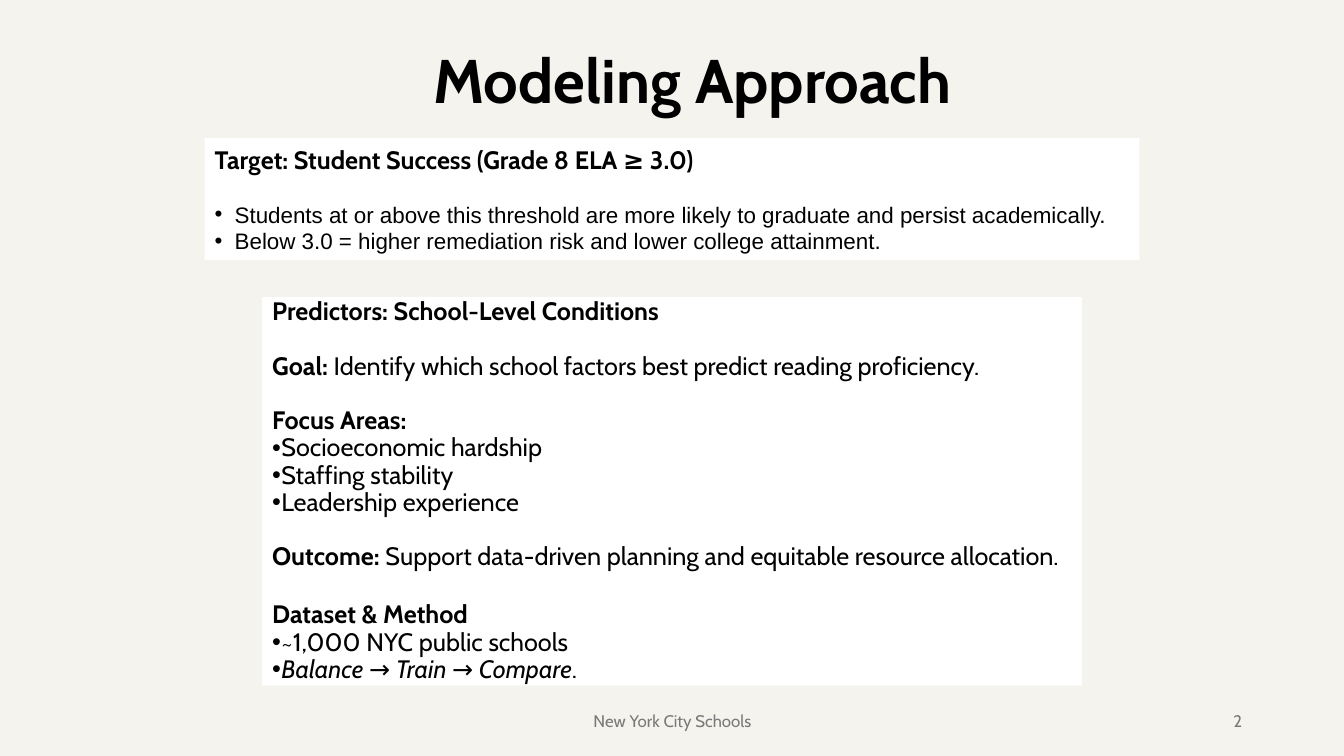
from dataclasses import dataclass

from lxml.etree import SubElement
from pptx import Presentation
from pptx.dml.color import RGBColor
from pptx.enum.text import MSO_ANCHOR, MSO_AUTO_SIZE, PP_ALIGN
from pptx.oxml.ns import qn
from pptx.util import Inches, Pt

BACKGROUND = RGBColor(0xF5, 0xF3, 0xEE)
WHITE = RGBColor(0xFF, 0xFF, 0xFF)
BLACK = RGBColor(0x00, 0x00, 0x00)
GRAY = RGBColor(0x79, 0x79, 0x79)


@dataclass(frozen=True)
class Piece:
    text: str
    bold: bool = False
    italic: bool = False


@dataclass(frozen=True)
class Line:
    pieces: tuple[Piece, ...]
    bullet_indent: float = 0
    space_before: float = 0
    size: float = 18
    font: str = "Cabin"
    color: RGBColor = BLACK
    alignment: PP_ALIGN = PP_ALIGN.LEFT


@dataclass(frozen=True)
class Box:
    left: float
    top: float
    width: float
    height: float


def heading(label: str, detail: str = "", space_before: float = 0) -> Line:
    pieces = (Piece(label, bold=True),) + ((Piece(detail),) if detail else ())
    return Line(pieces, space_before=space_before)


def factor(*pieces: Piece) -> Line:
    return Line(pieces, bullet_indent=0.09)


def threshold_note(text: str, space_before: float = 0) -> Line:
    return Line((Piece(text),), 0.2, space_before, 16, "Arial")


def footer(text: str, alignment: PP_ALIGN) -> tuple[Line, ...]:
    return (Line((Piece(text),), size=12, color=GRAY, alignment=alignment),)


TITLE = (Line((Piece("Modeling Approach", bold=True),), size=44,
              alignment=PP_ALIGN.CENTER),)
TARGET = (
    heading("Target: Student Success (Grade 8 ELA ≥ 3.0)"),
    threshold_note("Students at or above this threshold are more likely to "
                   "graduate and persist academically.", 19),
    threshold_note("Below 3.0 = higher remediation risk and lower college attainment."),
)
PREDICTORS = (
    heading("Predictors: School-Level Conditions"),
    heading("Goal:", " Identify which school factors best predict reading proficiency.", 19.5),
    heading("Focus Areas:", space_before=19.5),
    factor(Piece("Socioeconomic hardship")),
    factor(Piece("Staffing stability")),
    factor(Piece("Leadership experience")),
    heading("Outcome:", " Support data-driven planning and equitable resource allocation.", 19.5),
    heading("Dataset & Method", space_before=22),
    factor(Piece("~1,000 NYC public schools")),
    factor(Piece("Balance → Train → Compare", italic=True), Piece(".")),
)


def set_bullet(paragraph, indent: float) -> None:
    properties = paragraph._p.get_or_add_pPr()
    properties.set("marL", str(Inches(indent)))
    properties.set("indent", str(-Inches(indent)))
    if indent:
        SubElement(properties, qn("a:buFont")).set("typeface", "Arial")
        SubElement(properties, qn("a:buChar")).set("char", "•")
    else:
        SubElement(properties, qn("a:buNone"))


def fill_text(shape, box: Box, lines: tuple[Line, ...], line_spacing: float = 1,
              auto_size: MSO_AUTO_SIZE = MSO_AUTO_SIZE.NONE) -> None:
    shape.left, shape.top = Inches(box.left), Inches(box.top)
    shape.width, shape.height = Inches(box.width), Inches(box.height)
    frame = shape.text_frame
    frame.word_wrap = True
    frame.auto_size = auto_size
    frame.vertical_anchor = MSO_ANCHOR.MIDDLE
    for index, line in enumerate(lines):
        paragraph = frame.add_paragraph() if index else frame.paragraphs[0]
        set_bullet(paragraph, line.bullet_indent)
        paragraph.alignment = line.alignment
        paragraph.line_spacing = line_spacing
        paragraph.space_before = Pt(line.space_before)
        for piece in line.pieces:
            run = paragraph.add_run()
            run.text = piece.text
            run.font.name = line.font
            run.font.size = Pt(line.size)
            run.font.bold = piece.bold
            run.font.italic = piece.italic
            run.font.color.rgb = line.color


def add_text(slide, box: Box, lines: tuple[Line, ...],
             auto_size: MSO_AUTO_SIZE = MSO_AUTO_SIZE.NONE):
    shape = slide.shapes.add_textbox(0, 0, 0, 0)
    fill_text(shape, box, lines, auto_size=auto_size)
    return shape


def paint_white(shape) -> None:
    shape.fill.solid()
    shape.fill.fore_color.rgb = WHITE


def main() -> None:
    presentation = Presentation()
    presentation.slide_width = Inches(13.33)
    presentation.slide_height = Inches(7.5)
    slide = presentation.slides.add_slide(presentation.slide_layouts[1])
    slide.background.fill.solid()
    slide.background.fill.fore_color.rgb = BACKGROUND

    fill_text(slide.shapes.title, Box(1.12, 0.1, 11.5, 1.45), TITLE, 0.9)
    predictors = slide.placeholders[1]
    fill_text(predictors, Box(2.6, 2.9, 8.13, 3.95), PREDICTORS, 0.9,
              MSO_AUTO_SIZE.SHAPE_TO_FIT_TEXT)
    paint_white(predictors)
    target = add_text(slide, Box(2.03, 1.37, 9.27, 1.21), TARGET,
                      MSO_AUTO_SIZE.SHAPE_TO_FIT_TEXT)
    paint_white(target)

    add_text(slide, Box(4.42, 6.95, 4.5, 0.4),
             footer("New York City Schools", PP_ALIGN.CENTER))
    add_text(slide, Box(9.42, 6.95, 3, 0.4), footer("2", PP_ALIGN.RIGHT))
    presentation.save("out.pptx")


if __name__ == "__main__":
    main()
